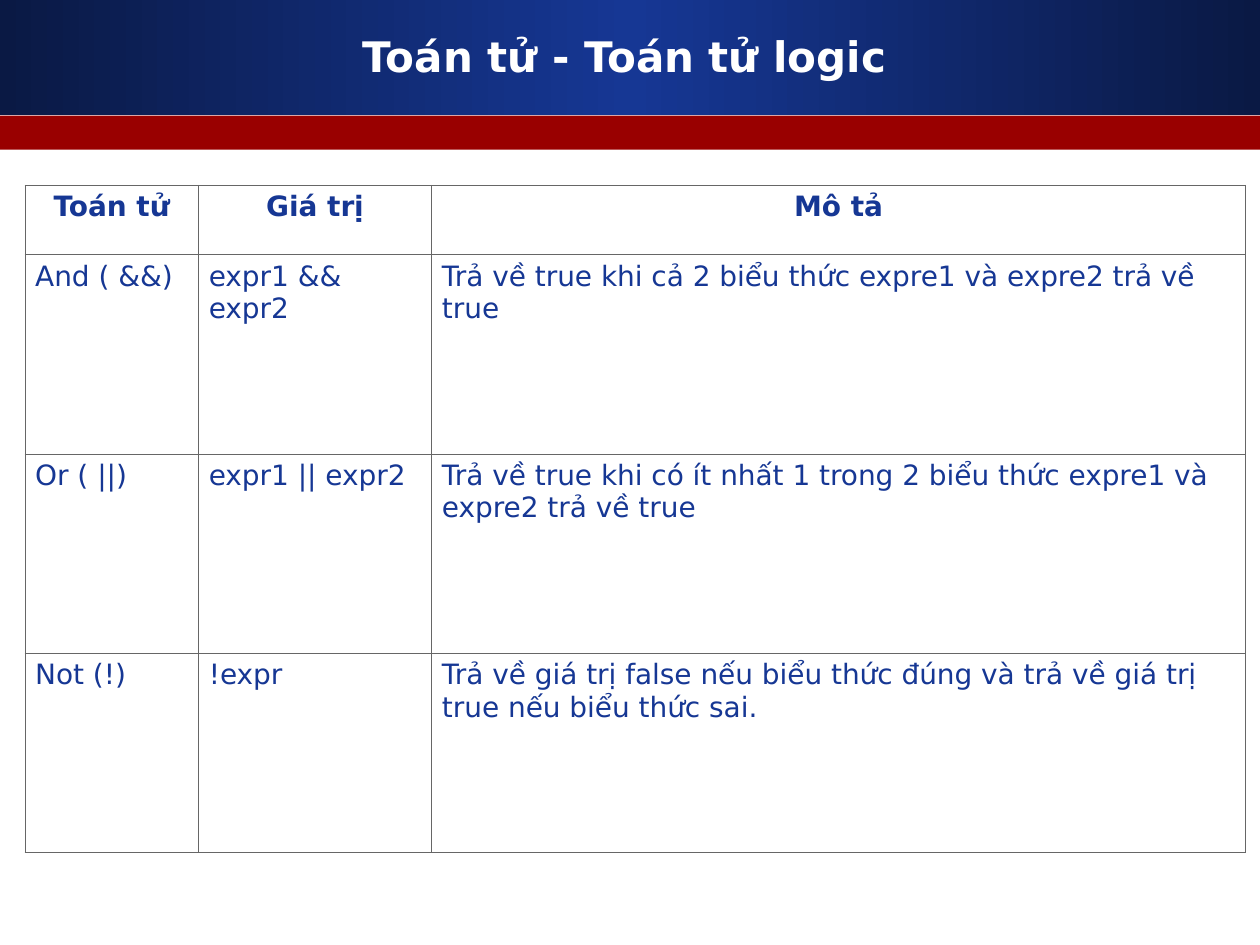
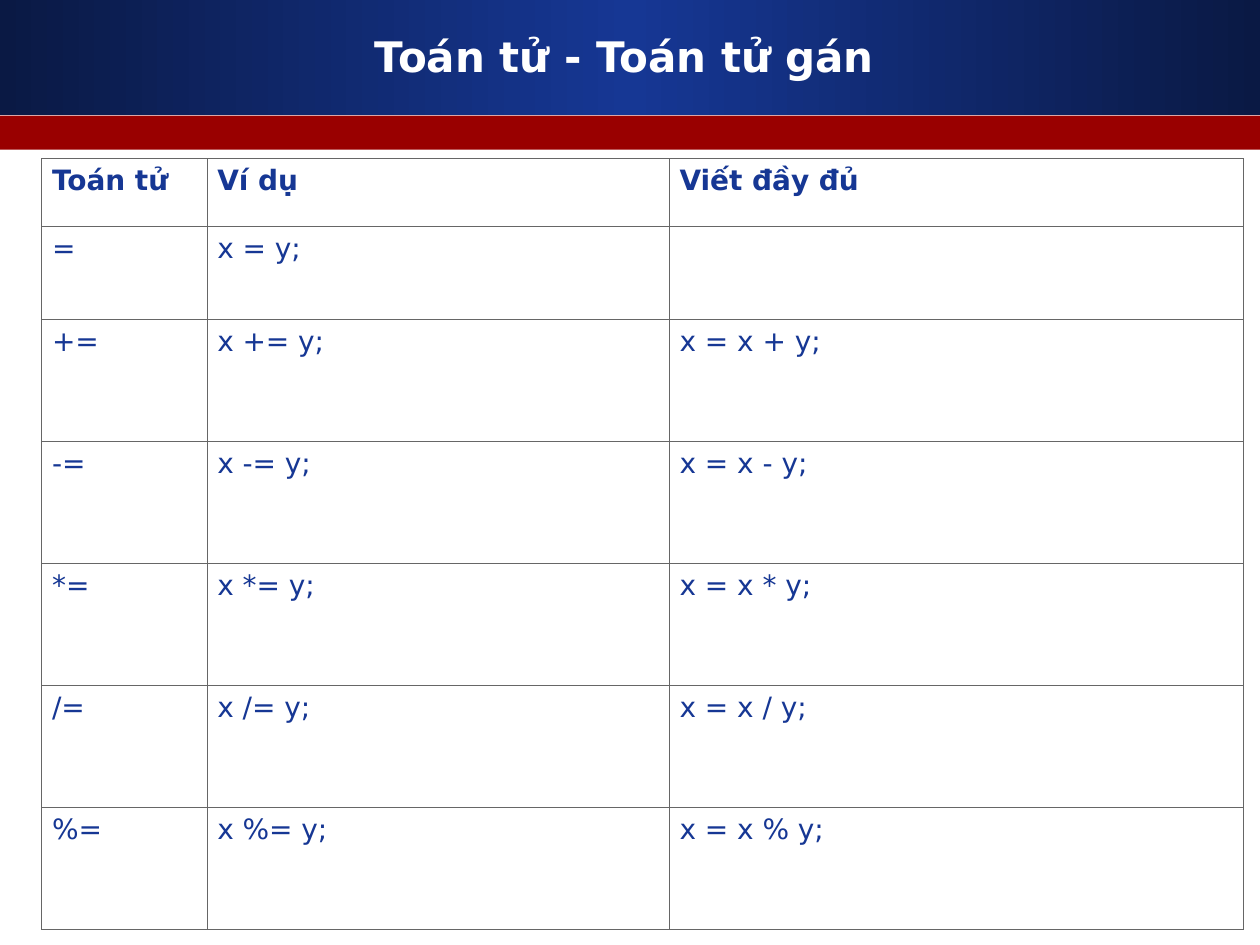
from copy import deepcopy

from lxml import etree
from pptx import Presentation
from pptx.dml.color import RGBColor
from pptx.enum.text import MSO_ANCHOR, MSO_AUTO_SIZE, PP_ALIGN
from pptx.enum.shapes import MSO_SHAPE
from pptx.oxml.ns import qn
from pptx.util import Cm, Pt

RECTANGLE = MSO_SHAPE.RECTANGLE
LEFT, CENTER = PP_ALIGN.LEFT, PP_ALIGN.CENTER
MIDDLE, TOP = MSO_ANCHOR.MIDDLE, MSO_ANCHOR.TOP
NO_AUTOFIT = MSO_AUTO_SIZE.NONE

FONT = "DejaVu Sans"
NAVY, BLUE, RED = "0A1944", "163794", "990000"
WHITE, GREY = "FFFFFF", "666666"
WIDTH, HEIGHT = 25.4, 19.05
TITLE_ONLY = 5


def color(hex_code):
    """Turn a hex string into a colour."""
    return RGBColor.from_string(hex_code)


def write(frame, text, size=16, ink=BLUE, bold=False, align=LEFT, spacing=None):
    """Put one formatted paragraph into a text frame."""
    frame.word_wrap = True
    paragraph = frame.paragraphs[0]
    paragraph.alignment = align
    paragraph.line_spacing = spacing
    run = paragraph.add_run()
    run.text = text
    run.font.name = FONT
    run.font.size = Pt(size)
    run.font.bold = bold
    run.font.color.rgb = color(ink)


def fill_gradient(shape, hex_codes):
    """Fill a shape with evenly spaced colours from left to right."""
    shape.fill.gradient()
    shape.fill.gradient_angle = 0
    stop_list = shape.element.spPr.find(".//" + qn("a:gsLst"))
    while len(stop_list) < len(hex_codes):
        stop_list.append(deepcopy(stop_list[-1]))
    for index, (stop, code) in enumerate(zip(shape.fill.gradient_stops, hex_codes)):
        stop.position = index / (len(hex_codes) - 1)
        stop.color.rgb = color(code)


def outline_cell(cell, hex_code=GREY, points=0.34):
    """Draw a thin border on all four sides of a table cell."""
    properties = cell._tc.get_or_add_tcPr()
    for side in ("a:lnL", "a:lnR", "a:lnT", "a:lnB"):
        line = etree.SubElement(properties, qn(side), w=str(Pt(points)))
        solid = etree.SubElement(line, qn("a:solidFill"))
        etree.SubElement(solid, qn("a:srgbClr"), val=hex_code)


class Deck:
    """Holds the shared style and the current slide."""

    def __init__(self):
        """Open a blank presentation and choose its layout."""
        self.presentation = Presentation()
        self.presentation.slide_width = Cm(WIDTH)
        self.presentation.slide_height = Cm(HEIGHT)
        self.layout = self.presentation.slide_layouts[TITLE_ONLY]
        self.slide = None

    def add_slide(self, title):
        """Start a slide; the first one also gives the layout its bands."""
        first = self.slide is None
        self.slide = self.presentation.slides.add_slide(self.layout)
        if first:
            self.add_band(0, 2.32, NAVY, BLUE, NAVY)
            self.add_band(2.33, 0.69, RED)
        self.add_title(title)

    def add_band(self, top, height, *hex_codes):
        """Draw a full-width band and place it behind the layout's text."""
        band = self.slide.shapes.add_shape(
            RECTANGLE, 0, Cm(top), Cm(WIDTH), Cm(height))
        band.shadow.inherit = False
        band.line.fill.background()
        if len(hex_codes) > 1:
            fill_gradient(band, hex_codes)
        else:
            band.fill.solid()
            band.fill.fore_color.rgb = color(hex_codes[0])
        layout_tree = self.layout.placeholders[0].element.getparent()
        layout_tree.insert(2, band.element)

    def add_title(self, text):
        """Place the white title on the blue band."""
        title = self.slide.shapes.title
        title.left, title.top = Cm(0.84), Cm(0.43)
        title.width, title.height = Cm(23.5), Cm(1.57)
        frame = title.text_frame
        frame.auto_size = NO_AUTOFIT
        frame.vertical_anchor = MIDDLE
        write(frame, text, size=24, ink=WHITE, bold=True, align=CENTER, spacing=0.8)

    def add_table(self, left, top, widths, heights, rows, header_align=LEFT):
        """Add a bordered white table with a bold header row."""
        table = self.slide.shapes.add_table(
            len(rows), len(widths), Cm(left), Cm(top),
            Cm(sum(widths)), Cm(sum(heights))).table
        table.horz_banding = False
        for column, width in zip(table.columns, widths):
            column.width = Cm(width)
        for row, height, texts in zip(table.rows, heights, rows):
            row.height = Cm(height)
            header = texts is rows[0]
            for cell, text in zip(row.cells, texts):
                self.format_cell(cell)
                if text:
                    write(cell.text_frame, text, bold=header,
                          align=header_align if header else LEFT)

    def format_cell(self, cell):
        """Give a cell its border, fill and margins."""
        outline_cell(cell)
        cell.fill.solid()
        cell.fill.fore_color.rgb = color(WHITE)
        cell.vertical_anchor = TOP
        cell.margin_left = cell.margin_right = Cm(0.21)
        cell.margin_top = cell.margin_bottom = Cm(0.12)


def add_logic_slide(deck):
    """Show the logical operators."""
    deck.add_slide("Toán tử - Toán tử logic")
    rows = [
        ("Toán tử", "Giá trị", "Mô tả"),
        ("And ( &&)", "expr1 && expr2",
         "Trả về true khi cả 2 biểu thức expre1 và expre2 trả về true"),
        ("Or ( ||)", "expr1 || expr2",
         "Trả về true khi có ít nhất 1 trong 2 biểu thức expre1 và expre2 "
         "trả về true"),
        ("Not (!)", "!expr",
         "Trả về giá trị false nếu biểu thức đúng và trả về giá trị true "
         "nếu biểu thức sai."),
    ]
    deck.add_table(0.5, 3.73, [3.5, 4.7, 16.41], [1.4] + [4.02] * 3, rows,
                   header_align=CENTER)


def add_assignment_slide(deck):
    """Show the assignment operators, with the long form of each."""
    deck.add_slide("Toán tử - Toán tử gán")
    rows = [("Toán tử", "Ví dụ", "Viết đầy đủ"), ("=", "x = y;", "")]
    rows += [(f"{sign}=", f"x {sign}= y;", f"x = x {sign} y;") for sign in "+-*/%"]
    deck.add_table(0.84, 3.2, [3.33, 9.32, 11.58], [1.37, 1.87] + [2.46] * 5, rows)


def main():
    """Build and save the presentation."""
    deck = Deck()
    add_logic_slide(deck)
    add_assignment_slide(deck)
    deck.presentation.save("out.pptx")


main()
